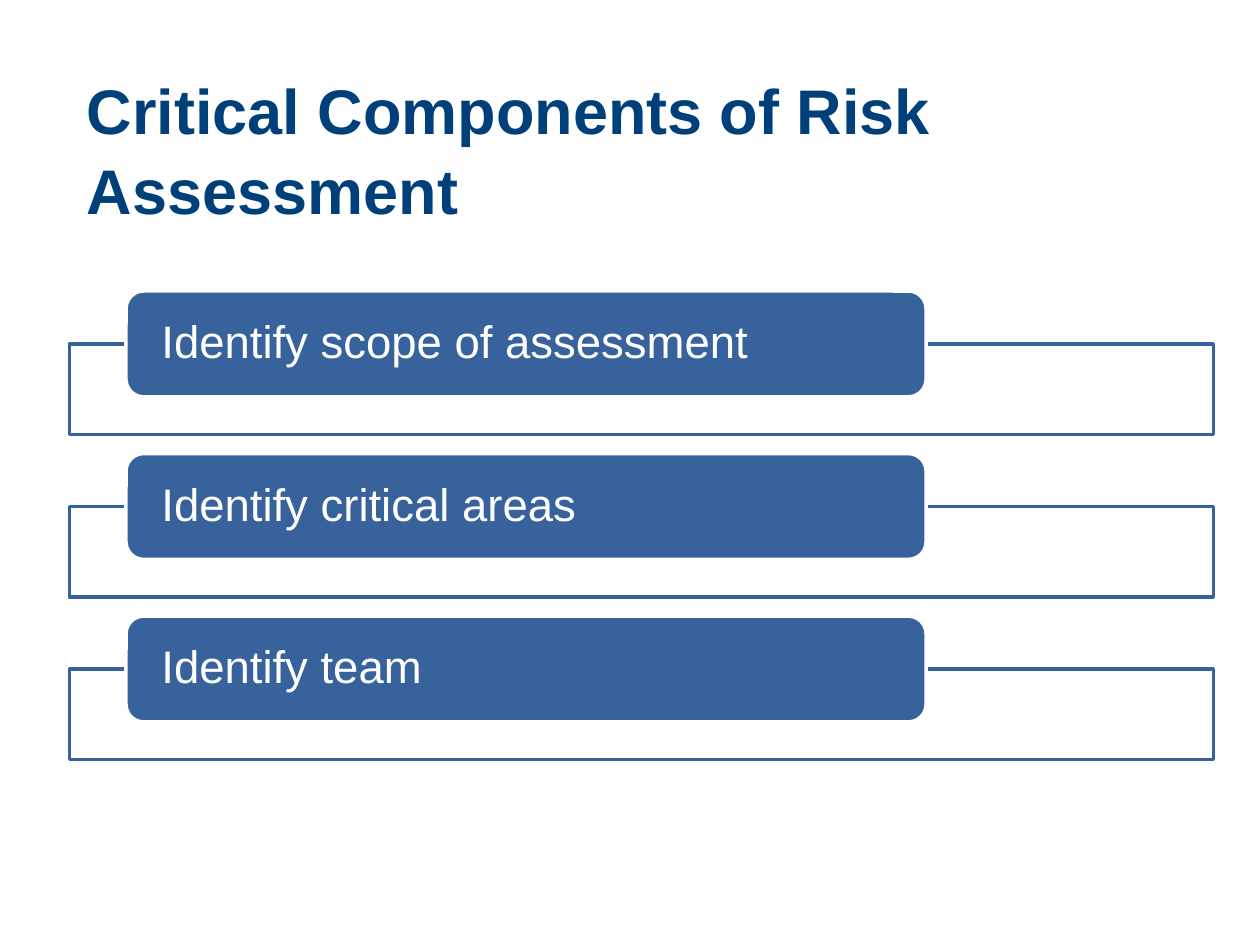
from lxml.etree import SubElement
from pptx import Presentation
from pptx.dml.color import RGBColor
from pptx.enum.shapes import MSO_SHAPE
from pptx.enum.text import MSO_ANCHOR, PP_ALIGN
from pptx.oxml.ns import qn
from pptx.util import Inches, Pt

NAVY = RGBColor(0x00, 0x40, 0x7A)
BLUE = RGBColor(0x38, 0x62, 0x9C)
WHITE = RGBColor(0xFF, 0xFF, 0xFF)
STEPS = ["Identify scope of assessment", "Identify critical areas", "Identify team"]


def write(shape, text, size, color, bold=False, anchor=MSO_ANCHOR.MIDDLE,
          side=0.1, top=0.0, space=1.0):
    """Put formatted, left-aligned text into a shape."""
    frame = shape.text_frame
    frame.word_wrap = True
    frame.vertical_anchor = anchor
    frame.margin_left = frame.margin_right = Inches(side)
    frame.margin_top = frame.margin_bottom = Inches(top)
    line = frame.paragraphs[0]
    line.alignment = PP_ALIGN.LEFT
    line.line_spacing = space
    run = line.add_run()
    run.text = text
    font = run.font
    font.name, font.size, font.bold = "Arial", Pt(size), bold
    font.color.rgb = color


class Deck:
    """Hold the style and current slide on a grid of 100 columns by 75 rows."""

    def __init__(self):
        """Start a deck with one title-only slide."""
        self.prs = Presentation()
        self.prs.slide_width, self.prs.slide_height = Inches(10), Inches(7.5)
        self.col = self.prs.slide_width / 100
        self.row = self.prs.slide_height / 75
        self.slide = self.prs.slides.add_slide(self.prs.slide_layouts[5])

    def area(self, x, y, w, h):
        """Turn grid columns and rows into slide lengths."""
        return (round(x * self.col), round(y * self.row),
                round(w * self.col), round(h * self.row))

    def title(self, text, *box):
        """Place and fill the title placeholder."""
        head = self.slide.shapes.title
        head.left, head.top, head.width, head.height = self.area(*box)
        write(head, text, 36, NAVY, bold=True, anchor=MSO_ANCHOR.TOP,
              top=0.06, space=1.05)

    def block(self, kind, fill, edge, *box):
        """Draw a filled, outlined shape."""
        shape = self.slide.shapes.add_shape(kind, *self.area(*box))
        shape.shadow.inherit = False
        shape.fill.solid()
        shape.fill.fore_color.rgb = fill
        shape.line.color.rgb = edge
        shape.line.width = Pt(2)
        return shape

    def step(self, text, y):
        """Draw one step: an open frame with a label over its top edge."""
        frame = self.block(MSO_SHAPE.RECTANGLE, WHITE, BLUE, 5.5, y + 4.2, 90.8, 7.2)
        tint = frame.element.spPr.find(qn("a:solidFill")).find(qn("a:srgbClr"))
        SubElement(tint, qn("a:alpha"), val="90000")
        label = self.block(MSO_SHAPE.ROUNDED_RECTANGLE, BLUE, WHITE, 10, y, 63.5, 8.4)
        write(label, text, 26, WHITE, side=0.24, space=0.9)


def main():
    """Build and save the slide."""
    deck = Deck()
    deck.title("Critical Components of Risk Assessment", 5.9, 4.8, 90.8, 11.9)
    for i, text in enumerate(STEPS):
        deck.step(text, 23.1 + 12.9 * i)
    deck.prs.save("out.pptx")


if __name__ == "__main__":
    main()
